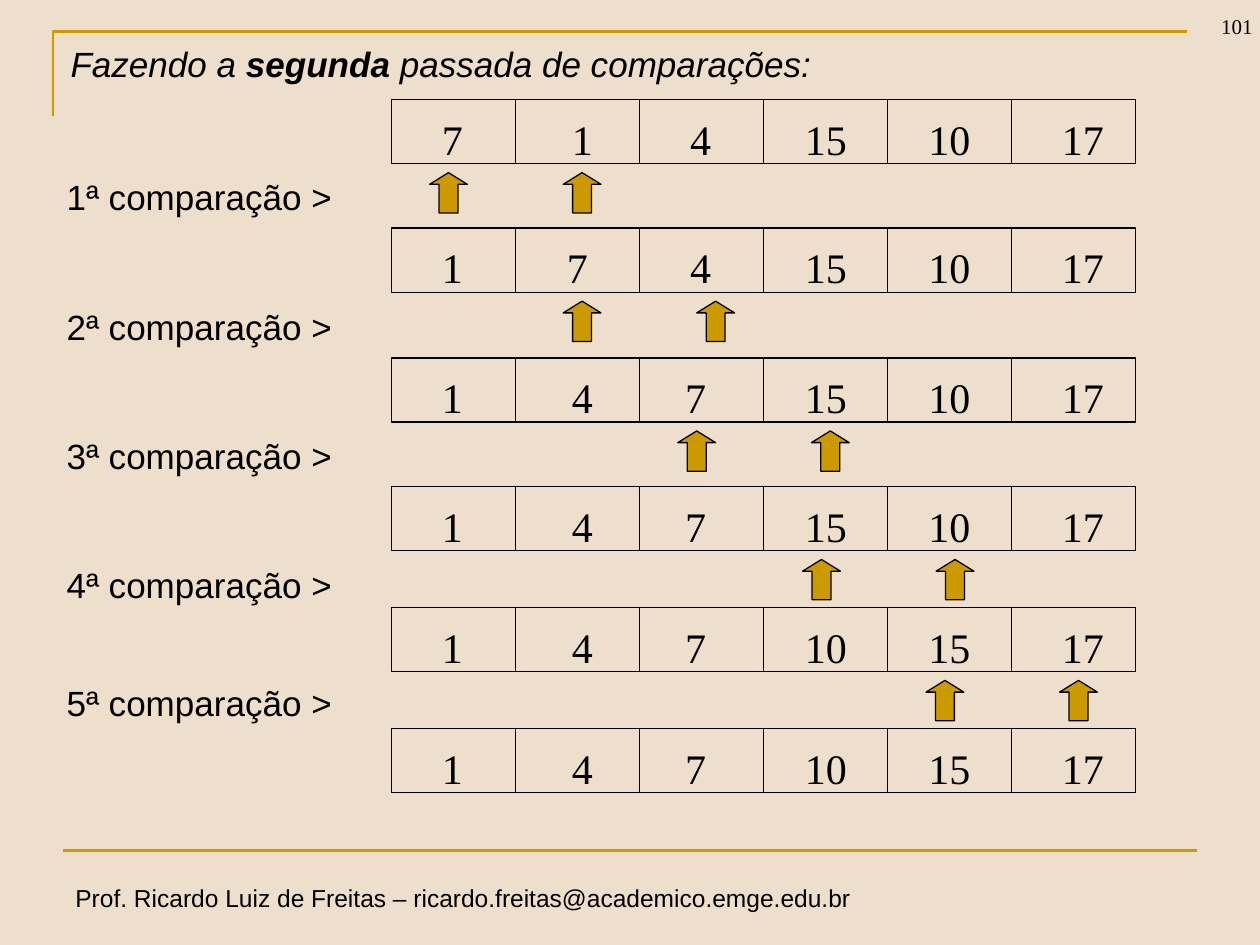
from dataclasses import dataclass
from typing import Any, NamedTuple

from lxml import etree
from pptx import Presentation
from pptx.dml.color import RGBColor
from pptx.enum.shapes import MSO_CONNECTOR, MSO_SHAPE
from pptx.enum.text import MSO_ANCHOR, MSO_AUTO_SIZE, PP_ALIGN
from pptx.oxml.ns import qn
from pptx.util import Pt

UP_ARROW = MSO_SHAPE.UP_ARROW
RECTANGLE = MSO_SHAPE.RECTANGLE
STRAIGHT = MSO_CONNECTOR.STRAIGHT
TOP, BOTTOM = MSO_ANCHOR.TOP, MSO_ANCHOR.BOTTOM
LEFT, RIGHT = PP_ALIGN.LEFT, PP_ALIGN.RIGHT
NO_FIT, GROW = MSO_AUTO_SIZE.NONE, MSO_AUTO_SIZE.SHAPE_TO_FIT_TEXT
TITLE_ONLY_LAYOUT = 5
EMU_PER_PX = 9144  # 100 px to the inch


@dataclass(frozen=True)
class Theme:
    background: RGBColor = RGBColor(0xEE, 0xDF, 0xCC)
    accent: RGBColor = RGBColor(0xCC, 0x99, 0x00)
    ink: RGBColor = RGBColor(0, 0, 0)
    sans: str = "Arial"
    serif: str = "Times New Roman"
    value_size: int = 24
    text_size: int = 20
    footer_size: int = 14
    number_size: int = 12
    rule_width: float = 1.5
    outline_width: float = 0.75


class Box(NamedTuple):
    left: float
    top: float
    width: float
    height: float


class Step(NamedTuple):
    top: int
    values: tuple[int, ...]
    arrow_left: int | None = None
    label_top: int | None = None


THEME = Theme()
STEPS = (
    Step(79, (7, 1, 4, 15, 10, 17), 341, 138),
    Step(181, (1, 7, 4, 15, 10, 17), 447, 241),
    Step(284, (1, 4, 7, 15, 10, 17), 538, 344),
    Step(386, (1, 4, 7, 15, 10, 17), 637, 446),
    Step(482, (1, 4, 7, 10, 15, 17), 735, 540),
    Step(578, (1, 4, 7, 10, 15, 17)),
)
ARRAY_LEFT, ARRAY_WIDTH, CELL_HEIGHT = 311, 590, 51
VALUE_LEFTS = (341, 444, 538, 629, 727, 833)
MOVED_SEVEN_SHIFT = -4
ARROW_OFFSET, ARROW_GAP = 58, 106


def px(length: float) -> int:
    return round(length * EMU_PER_PX)


def emu(box: Box) -> list[int]:
    return [px(length) for length in box]


def apply_format(target: Any, values: dict[str, Any]) -> None:
    for name, value in values.items():
        setattr(target, name, value)


def format_outline(shape: Any, color: RGBColor, width: float) -> None:
    shape.line.color.rgb = color
    shape.line.width = Pt(width)


def add_run(paragraph: Any, text: str, size: int, font: str, **styles: bool) -> None:
    run = paragraph.add_run()
    run.text = text
    apply_format(run.font, {"size": Pt(size), "name": font, **styles})
    run.font.color.rgb = THEME.ink


def add_text(shapes: Any, box: Box, text: str, size: int, font: str,
             frame_format: dict[str, Any], paragraph_format: dict[str, Any]) -> None:
    frame = shapes.add_textbox(*emu(box)).text_frame
    apply_format(frame, {"word_wrap": False, "auto_size": GROW, **frame_format})
    paragraph = frame.paragraphs[0]
    apply_format(paragraph, paragraph_format)
    add_run(paragraph, text, size, font)


def add_outlined_shape(shapes: Any, kind: MSO_SHAPE, box: Box) -> Any:
    shape = shapes.add_shape(kind, *emu(box))
    shape.shadow.inherit = False
    shape.fill.background()
    format_outline(shape, THEME.ink, THEME.outline_width)
    return shape


def add_array(slide: Any, step: Step) -> None:
    shapes = slide.shapes.add_group_shape().shapes
    cell_width = ARRAY_WIDTH / len(step.values)
    for column in range(len(step.values)):
        left = ARRAY_LEFT + column * cell_width
        add_outlined_shape(shapes, RECTANGLE, Box(left, step.top, cell_width, CELL_HEIGHT))
    for column, (value, left) in enumerate(zip(step.values, VALUE_LEFTS)):
        if value == 7 and column > 0:
            left += MOVED_SEVEN_SHIFT
        width = 37 if value < 10 else 53
        add_text(shapes, Box(left, step.top + 6, width, 50), str(value),
                 THEME.value_size, THEME.serif, {}, {})


def add_arrow_pair(slide: Any, step: Step) -> None:
    shapes = slide.shapes.add_group_shape().shapes
    for left in (step.arrow_left, step.arrow_left + ARROW_GAP):
        arrow = add_outlined_shape(shapes, UP_ARROW, Box(left, step.top + ARROW_OFFSET, 30, 32))
        arrow.adjustments[0] = 0.5
        arrow.adjustments[1] = 0.31
        arrow.fill.solid()
        arrow.fill.fore_color.rgb = THEME.accent


def add_rules(slide: Any) -> None:
    builder = slide.shapes.build_freeform(42, 92, scale=EMU_PER_PX)
    builder.add_line_segments([(42, 25), (942, 25)], close=False)
    corner = builder.convert_to_shape()
    corner.shadow.inherit = False
    corner.fill.background()
    footer_rule = slide.shapes.add_connector(STRAIGHT, px(50), px(675), px(950), px(675))
    etree.SubElement(footer_rule.line._get_or_add_ln().getparent(), qn("a:effectLst"))
    for rule in (corner, footer_rule):
        format_outline(rule, THEME.accent, THEME.rule_width)


def fill_title(slide: Any) -> None:
    title = slide.shapes.title
    box = Box(46, 29, 659, 44)
    apply_format(title, dict(zip(("left", "top", "width", "height"), emu(box))))
    apply_format(title.text_frame, {"word_wrap": True, "auto_size": NO_FIT,
                                    "vertical_anchor": TOP})
    paragraph = title.text_frame.paragraphs[0]
    paragraph.alignment = LEFT
    for text, bold in (("Fazendo a ", False), ("segunda", True),
                       (" passada de comparações:", False)):
        add_run(paragraph, text, THEME.text_size, THEME.sans, italic=True, bold=bold)


def main() -> None:
    presentation = Presentation()
    apply_format(presentation, {"slide_width": px(1000), "slide_height": px(750)})
    slide = presentation.slides.add_slide(presentation.slide_layouts[TITLE_ONLY_LAYOUT])
    slide.background.fill.solid()
    slide.background.fill.fore_color.rgb = THEME.background

    add_rules(slide)
    fill_title(slide)
    add_text(slide.shapes, Box(50, 696, 638, 34),
             "Prof. Ricardo Luiz de Freitas – ricardo.freitas@academico.emge.edu.br",
             THEME.footer_size, THEME.sans, {}, {})
    add_text(slide.shapes, Box(929, -14, 75, 50), "101", THEME.number_size, THEME.serif,
             {"word_wrap": True, "auto_size": NO_FIT, "vertical_anchor": BOTTOM},
             {"alignment": RIGHT})
    for number, step in enumerate(STEPS, start=1):
        add_array(slide, step)
        if step.arrow_left is not None:
            add_arrow_pair(slide, step)
            add_text(slide.shapes, Box(43, step.label_top, 268, 40), f"{number}ª comparação >",
                     THEME.text_size, THEME.sans, {"word_wrap": True}, {"line_spacing": 0.9})
    presentation.save("out.pptx")


if __name__ == "__main__":
    main()
